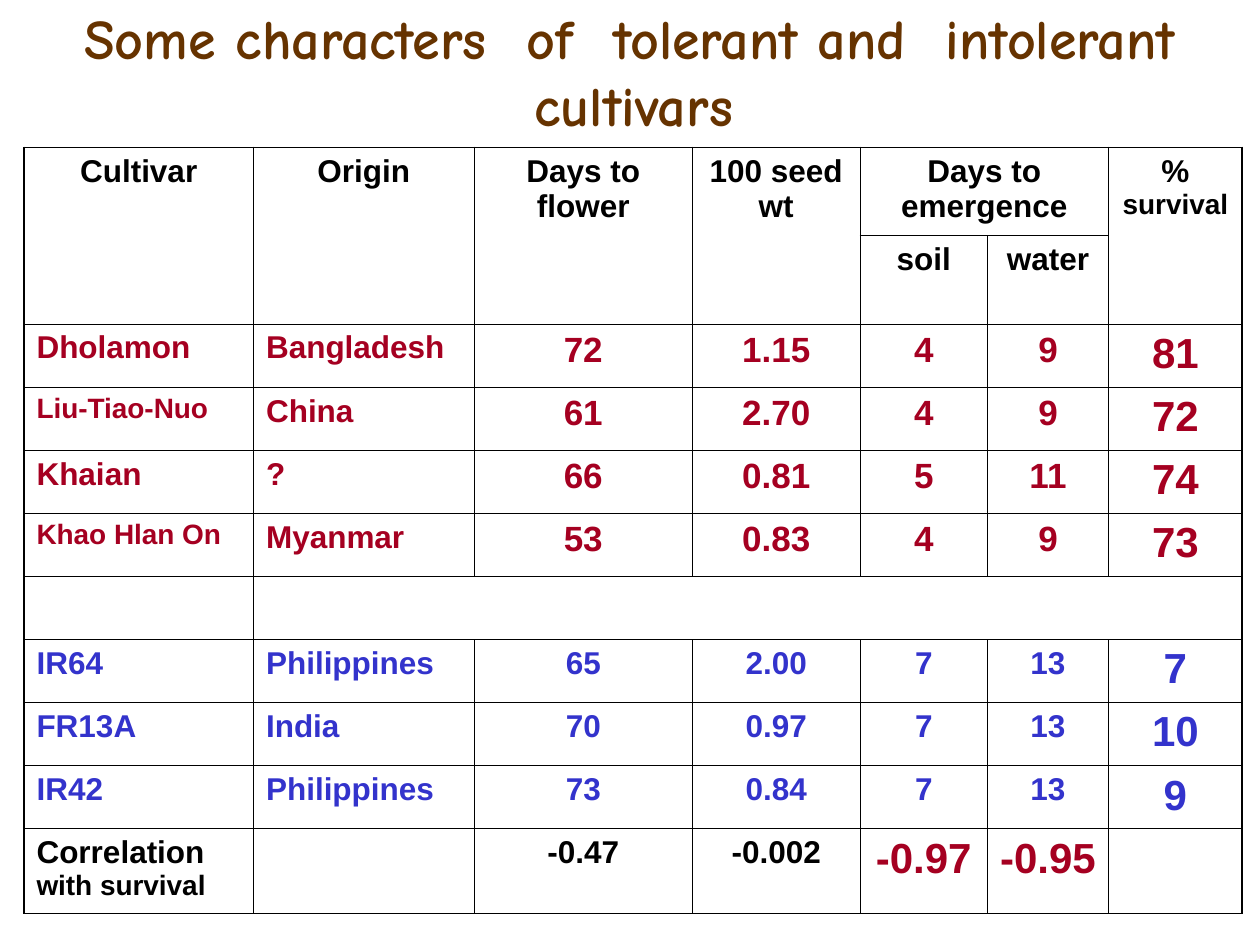
from lxml.etree import SubElement
from pptx import Presentation
from pptx.dml.color import RGBColor
from pptx.enum.text import MSO_ANCHOR as Anchor, MSO_AUTO_SIZE as AutoSize, PP_ALIGN as Align
from pptx.oxml.ns import qn
from pptx.util import Inches, Pt

BLACK, BROWN, RED, BLUE = "000000", "663300", "A50021", "3333CC"
TITLE_BOX = (0, -0.02, 10, 1.17)
TABLE_BOX = (0.19, 1.17, 9.67, 6.08)
COLUMNS = [1.82, 1.75, 1.73, 1.33, 1.01, 0.96, 1.06]
ROWS = [0.7] * 2 + [0.5] * 8 + [0.67]
THIN, THICK = 0.45, 1.08

HEADINGS = ["Cultivar", "Origin", "Days to flower", "100 seed wt", "Days to emergence"]
TOLERANT = [
    ["Dholamon", "Bangladesh", "72", "1.15", "4", "9", "81"],
    ["Liu-Tiao-Nuo", "China", "61", "2.70", "4", "9", "72"],
    ["Khaian", "?", "66", "0.81", "5", "11", "74"],
    ["Khao Hlan On", "Myanmar", "53", "0.83", "4", "9", "73"],
]
INTOLERANT = [
    ["IR64", "Philippines", "65", "2.00", "7", "13", "7"],
    ["FR13A", "India", "70", "0.97", "7", "13", "10"],
    ["IR42", "Philippines", "73", "0.84", "7", "13", "9"],
]
LONG_NAMES = ("Liu-Tiao-Nuo", "Khao Hlan On")


def color(value):
    return RGBColor.from_string(value)


def write(frame, text, size=18, fill=BLACK, font="Arial", align=Align.CENTER):
    """Add text to the first paragraph; further calls append runs."""
    paragraph = frame.paragraphs[0]
    paragraph.alignment = align
    run = paragraph.add_run()
    run.text = text
    run.font.size, run.font.name, run.font.bold = Pt(size), font, True
    run.font.color.rgb = color(fill)


def add_title(slide, box):
    title = slide.shapes.title
    title.left, title.top, title.width, title.height = map(Inches, box)
    frame = title.text_frame
    frame.word_wrap = True
    frame.auto_size = AutoSize.SHAPE_TO_FIT_TEXT
    frame.vertical_anchor = Anchor.TOP
    write(frame, "Some characters  of  tolerant and  intolerant cultivars",
          size=32, fill=BROWN, font="Comic Neue")
    properties = frame.paragraphs[0]._p.get_or_add_pPr()
    properties.set("marL", str(Inches(0.06)))
    properties.set("indent", str(-Inches(0.06)))


def set_borders(cell, **widths):
    properties = cell._tc.get_or_add_tcPr()
    for position, (side, width) in enumerate(widths.items()):
        line = SubElement(properties, qn(f"a:ln{side}"), w=str(Pt(width)))
        fill = SubElement(line, qn("a:solidFill"))
        SubElement(fill, qn("a:srgbClr"), val=BLACK)
        properties.insert(position, line)


def format_grid(table):
    """Clear the fills; thin lines inside, thick lines around the table."""
    last_row, last_column = len(ROWS) - 1, len(COLUMNS) - 1
    for r in range(len(ROWS)):
        for c in range(len(COLUMNS)):
            cell = table.cell(r, c)
            cell.fill.background()
            bottom, right = r, c
            if cell.is_merge_origin:
                bottom += cell.span_height - 1
                right += cell.span_width - 1
            set_borders(cell,
                        L=THIN if c else THICK,
                        R=THICK if right == last_column else THIN,
                        T=THIN if r else THICK,
                        B=THICK if bottom == last_row else THIN)


def fill_header(table):
    for c, heading in enumerate(HEADINGS):
        write(table.cell(0, c).text_frame, heading)
    survival = table.cell(0, 6).text_frame
    write(survival, "% ")
    write(survival, "survival", size=16)
    for c, heading in enumerate(["soil", "water"], start=4):
        write(table.cell(1, c).text_frame, heading)


def fill_group(table, first_row, records, fill, number_size):
    sizes = [18, 18] + [number_size] * 4 + [24]
    for r, record in enumerate(records, start=first_row):
        for c, (text, size) in enumerate(zip(record, sizes)):
            write(table.cell(r, c).text_frame, text, fill=fill,
                  size=16 if text in LONG_NAMES else size,
                  align=Align.LEFT if c < 2 else Align.CENTER)


def fill_correlation(table, r):
    label = table.cell(r, 0).text_frame
    write(label, "Correlation ", align=Align.LEFT)
    write(label, "with survival", size=16, align=Align.LEFT)
    for c, text in enumerate(["-0.47", "-0.002"], start=2):
        write(table.cell(r, c).text_frame, text)
    for c, text in enumerate(["-0.97", "-0.95"], start=4):
        write(table.cell(r, c).text_frame, text, size=24, fill=RED)


def add_cultivar_table(slide, box):
    left, top, width, height = map(Inches, box)
    table = slide.shapes.add_table(len(ROWS), len(COLUMNS), left, top, width, height).table
    table.first_row = table.horz_banding = False
    for column, share in zip(table.columns, COLUMNS):
        column.width = int(width * share / sum(COLUMNS))
    for row, share in zip(table.rows, ROWS):
        row.height = int(height * share / sum(ROWS))

    # Merged headings and the blank band between the groups
    for c in (0, 1, 2, 3, 6):
        table.cell(0, c).merge(table.cell(1, c))
    table.cell(0, 4).merge(table.cell(0, 5))
    table.cell(6, 1).merge(table.cell(6, 6))

    format_grid(table)
    fill_header(table)
    fill_group(table, 2, TOLERANT, RED, number_size=20)
    fill_group(table, 7, INTOLERANT, BLUE, number_size=18)
    fill_correlation(table, len(ROWS) - 1)


def main():
    presentation = Presentation()
    presentation.slide_width, presentation.slide_height = Inches(10), Inches(7.5)
    slide = presentation.slides.add_slide(presentation.slide_layouts[5])
    add_title(slide, TITLE_BOX)
    add_cultivar_table(slide, TABLE_BOX)
    presentation.save("out.pptx")


if __name__ == "__main__":
    main()
